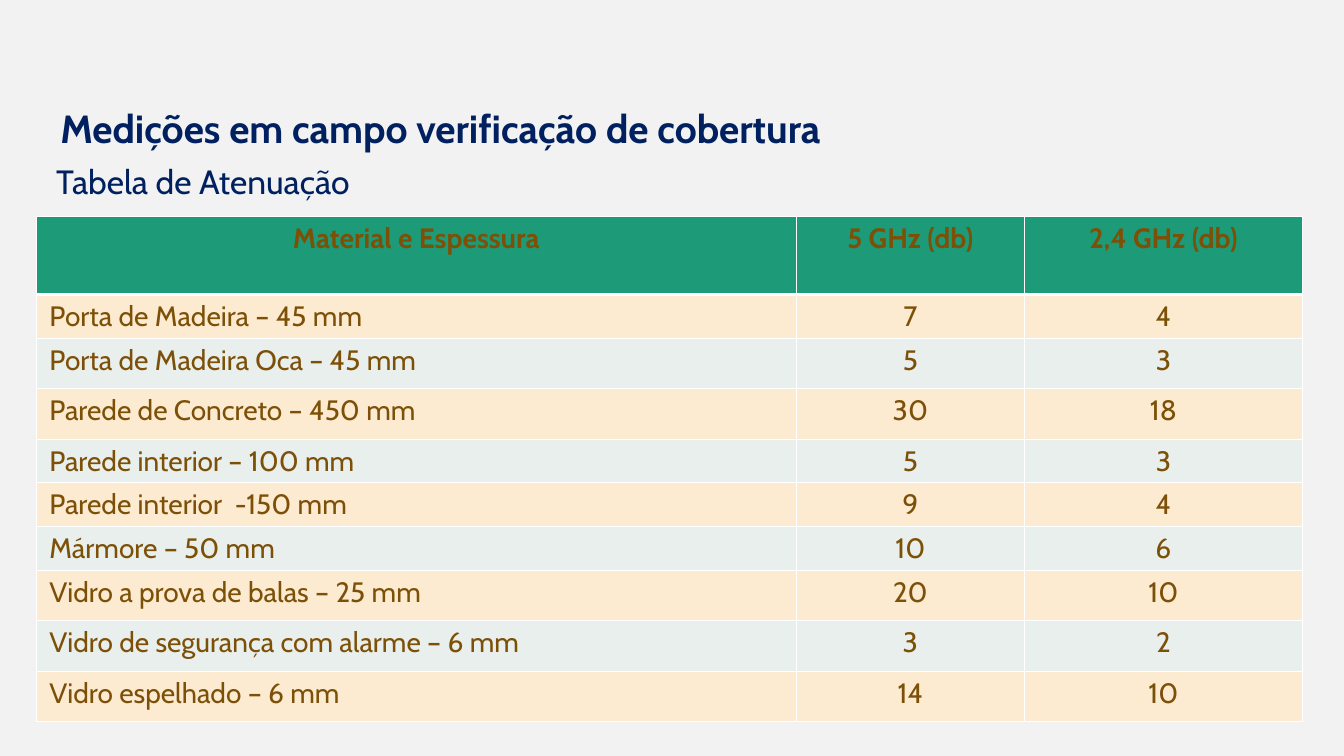
from lxml.etree import SubElement
from pptx import Presentation
from pptx.dml.color import RGBColor
from pptx.enum.text import MSO_ANCHOR, PP_ALIGN
from pptx.oxml.ns import qn
from pptx.util import Inches, Pt

NAVY, BROWN, WHITE = "002060", "7D5008", "FFFFFF"
GREEN, CREAM, MINT, GRAY = "1D9A78", "FCEBD1", "E8EFEC", "F2F2F2"

ATTENUATION = [
    ("Material e Espessura", "5 GHz (db)", "2,4 GHz (db)"),
    ("Porta de Madeira – 45 mm", "7", "4"),
    ("Porta de Madeira Oca – 45 mm", "5", "3"),
    ("Parede de Concreto – 450 mm", "30", "18"),
    ("Parede interior – 100 mm", "5", "3"),
    ("Parede interior  -150 mm", "9", "4"),
    ("Mármore – 50 mm", "10", "6"),
    ("Vidro a prova de balas – 25 mm", "20", "10"),
    ("Vidro de segurança com alarme – 6 mm", "3", "2"),
    ("Vidro espelhado – 6 mm", "14", "10"),
]
COLUMN_WIDTHS = [7.54, 2.26, 2.76]
ROW_HEIGHTS = [0.77, 0.43, 0.5, 0.5, 0.43, 0.43, 0.43, 0.5, 0.5, 0.5]


def paint(fill, color):
    """Give a fill one solid colour."""
    fill.solid()
    fill.fore_color.rgb = RGBColor.from_string(color)


def write(frame, text, size=20, color=BROWN, bold=False, align=PP_ALIGN.LEFT):
    """Write one formatted paragraph into a text frame."""
    frame.word_wrap = True
    paragraph = frame.paragraphs[0]
    paragraph.alignment = align
    run = paragraph.add_run()
    run.text = text
    run.font.name = "Cabin"
    run.font.size = Pt(size)
    run.font.bold = bold
    run.font.color.rgb = RGBColor.from_string(color)


def add_border(cell, side, width):
    """Draw a white border on one side of a cell."""
    line = SubElement(cell._tc.get_or_add_tcPr(), qn(f"a:ln{side}"), w=str(Pt(width)))
    SubElement(SubElement(line, qn("a:solidFill")), qn("a:srgbClr"), val=WHITE)


def add_heading(slide, left, top, width):
    """Place the title and, below it, the subtitle."""
    title = slide.shapes.add_textbox(Inches(left + 0.04), Inches(top), Inches(width), Inches(0.41))
    write(title.text_frame, "Medições em campo verificação de cobertura",
          size=28, color=NAVY, bold=True)
    subtitle = slide.shapes.add_textbox(Inches(left), Inches(top + 0.56), Inches(width), Inches(0.55))
    write(subtitle.text_frame, "Tabela de Atenuação", size=24, color=NAVY)


def add_attenuation_table(slide, left, top, width, height):
    """Place the banded table of attenuation by material."""
    table = slide.shapes.add_table(len(ATTENUATION), len(COLUMN_WIDTHS), Inches(left),
                                   Inches(top), Inches(width), Inches(height)).table
    for column, share in zip(table.columns, COLUMN_WIDTHS):
        column.width = Inches(width * share / sum(COLUMN_WIDTHS))
    for row, share in zip(table.rows, ROW_HEIGHTS):
        row.height = Inches(height * share / sum(ROW_HEIGHTS))
    for r, values in enumerate(ATTENUATION):
        header = r == 0
        for c, value in enumerate(values):
            cell = table.cell(r, c)
            cell.margin_left = cell.margin_right = Inches(0.13)
            cell.margin_top = cell.margin_bottom = Inches(0.05)
            cell.vertical_anchor = MSO_ANCHOR.TOP
            write(cell.text_frame, value, bold=header,
                  align=PP_ALIGN.CENTER if header or c else PP_ALIGN.LEFT)
            add_border(cell, "L", 1)
            add_border(cell, "R", 1)
            add_border(cell, "T", 3 if r == 1 else 1)
            add_border(cell, "B", 3 if header else 1)
            paint(cell.fill, GREEN if header else CREAM if r % 2 else MINT)


def main():
    """Build the slide and save it."""
    presentation = Presentation()
    presentation.slide_width = Inches(13.33)
    presentation.slide_height = Inches(7.5)
    slide = presentation.slides.add_slide(presentation.slide_layouts[6])
    paint(slide.background.fill, GRAY)
    add_heading(slide, 0.46, 0.99, 12.3)
    add_attenuation_table(slide, 0.36, 2.15, 12.56, 5)
    presentation.save("out.pptx")


if __name__ == "__main__":
    main()
